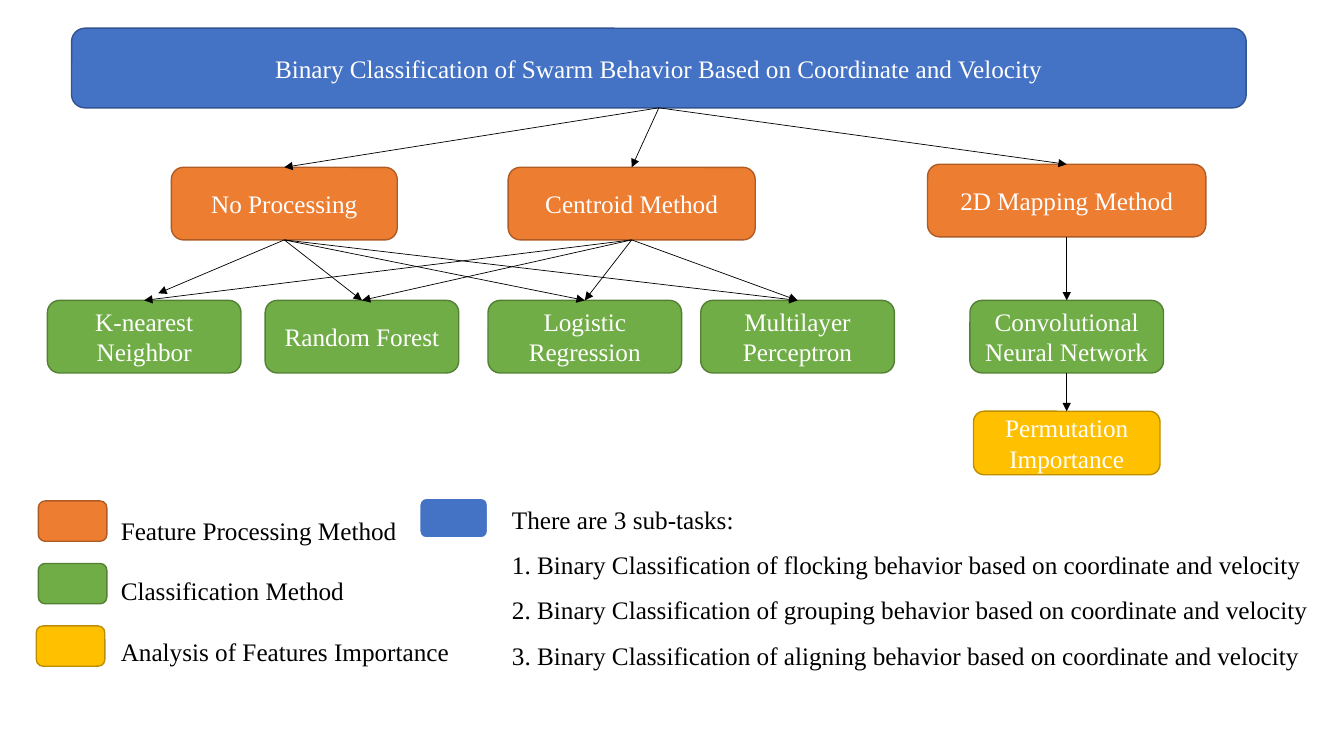
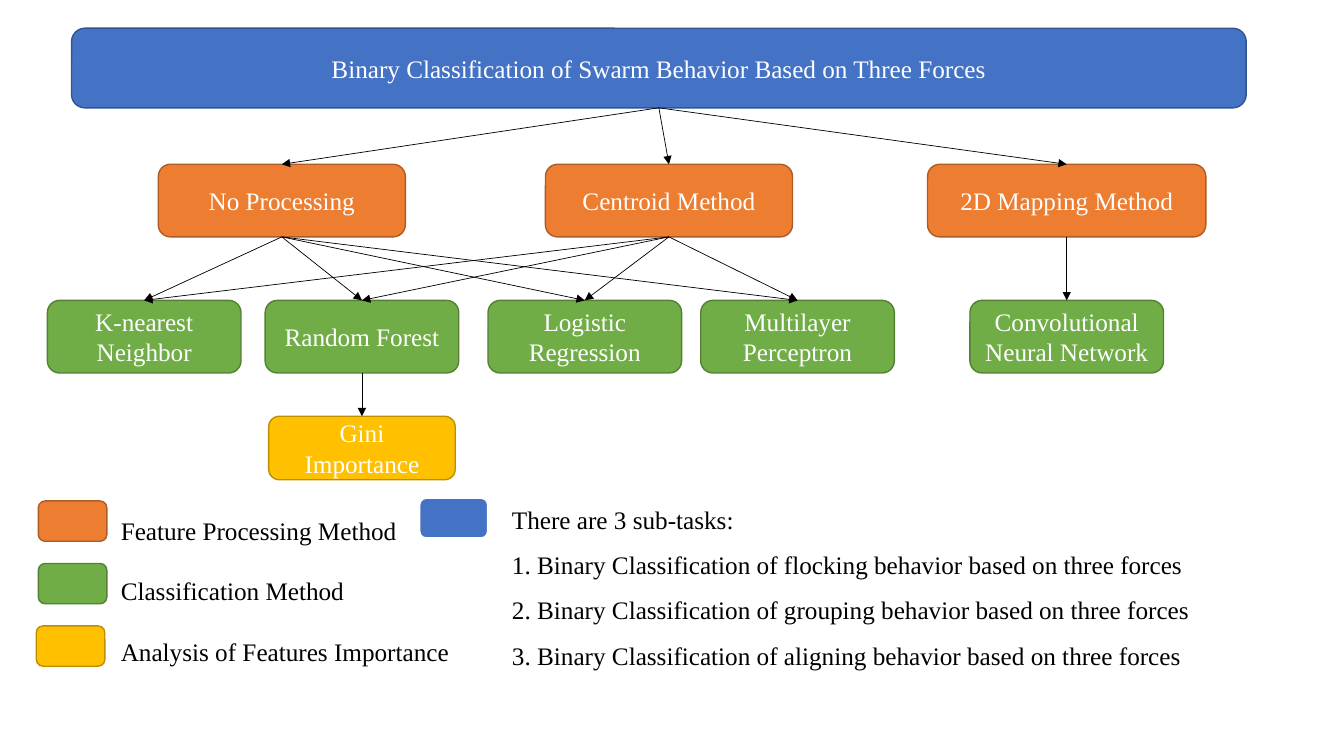
from dataclasses import dataclass

from lxml.etree import SubElement
from pptx import Presentation
from pptx.dml.color import RGBColor
from pptx.enum.shapes import MSO_CONNECTOR, MSO_SHAPE
from pptx.enum.text import MSO_ANCHOR, MSO_AUTO_SIZE, PP_ALIGN
from pptx.oxml.ns import qn
from pptx.util import Inches, Pt


@dataclass(frozen=True)
class Theme:
    font: str = "Times New Roman"
    size: float = 18
    text: str = "000000"
    light: str = "FFFFFF"
    arrow_width: float = 0.5
    # Each style: fill, outline, outline width
    task: tuple = ("4472C4", "325491", 1)
    task_key: tuple = ("4472C4", "FFFFFF", 1.5)
    feature: tuple = ("ED7D31", "AF5C24", 1)
    classifier: tuple = ("70AD47", "538035", 1)
    importance: tuple = ("FFC000", "BD8E00", 1)


THEME = Theme()
TOP, BOTTOM = 0, 2

# Content: feature boxes are name -> (left, top, width)
SLIDES = [
    {
        "title": "Binary Classification of Swarm Behavior Based on Coordinate and Velocity",
        "basis": "coordinate and velocity",
        "features": {
            "No Processing": (1.7, 1.66, 2.24),
            "Centroid Method": (5.04, 1.66, 2.45),
            "2D Mapping Method": (9.2, 1.63, 2.76),
        },
        "importance": ("Permutation Importance", "Convolutional Neural Network", 4.08),
        "loose_ends": {("No Processing", "K-nearest Neighbor"): (1.57, 2.91)},
    },
    {
        "title": "Binary Classification of Swarm Behavior Based on Three Forces",
        "basis": "three forces",
        "features": {
            "No Processing": (1.57, 1.63, 2.45),
            "Centroid Method": (5.41, 1.63, 2.45),
            "2D Mapping Method": (9.2, 1.63, 2.76),
        },
        "importance": ("Gini Importance", "Random Forest", 4.13),
        "loose_ends": {},
    },
]
CLASSIFIERS = {
    "K-nearest Neighbor": 0.47,
    "Random Forest": 2.63,
    "Logistic Regression": 4.84,
    "Multilayer Perceptron": 6.95,
    "Convolutional Neural Network": 9.62,
}
*SHARED, NETWORK = CLASSIFIERS
LINKS = {
    "No Processing": SHARED,
    "Centroid Method": SHARED,
    "2D Mapping Method": [NETWORK],
}
LEGEND = ["Feature Processing Method", "Classification Method",
          "Analysis of Features Importance"]
KEYS = [  # left, top, style
    (0.38, 4.97, THEME.feature),
    (0.38, 5.59, THEME.classifier),
    (0.36, 6.21, THEME.importance),
    (4.16, 4.94, THEME.task_key),
]
BEHAVIORS = ["flocking", "grouping", "aligning"]

# Shared geometry, in inches
BANNER = (0.71, 0.28, 11.65, 0.79)
BOX_HEIGHT = 0.72
CLASSIFIER_TOP, CLASSIFIER_WIDTH = 2.98, 1.92
IMPORTANCE_WIDTH, IMPORTANCE_HEIGHT = 1.85, 0.63
KEY_SIZE = (0.68, 0.4)
LEGEND_AREA = (1.1, 4.76, 3.74, 1.83)
TASKS_AREA = (4.98, 4.8, 8.1, 1.86)


def inches(values):
    return [Inches(value) for value in values]


def write(para, text, color):
    span = para.add_run()
    span.text = text
    span.font.name = THEME.font
    span.font.size = Pt(THEME.size)
    span.font.color.rgb = RGBColor.from_string(color)


def write_centred(shape, text):
    frame = shape.text_frame
    frame.word_wrap = True
    frame.auto_size = MSO_AUTO_SIZE.NONE
    frame.vertical_anchor = MSO_ANCHOR.MIDDLE
    para = frame.paragraphs[0]
    para.alignment = PP_ALIGN.CENTER
    write(para, text, THEME.light)


def add_box(page, area, style, text=None):
    fill, outline, width = style
    box = page.shapes.add_shape(MSO_SHAPE.ROUNDED_RECTANGLE, *inches(area))
    box.shadow.inherit = False
    box.fill.solid()
    box.fill.fore_color.rgb = RGBColor.from_string(fill)
    box.line.color.rgb = RGBColor.from_string(outline)
    box.line.width = Pt(width)
    if text:
        write_centred(box, text)
    return box


def add_banner(page, text):
    banner = add_box(page, BANNER, THEME.task)
    title = page.shapes.title
    title.left, title.top, title.width, title.height = inches(BANNER)
    write_centred(title, text)
    title.element.addprevious(banner.element)  # the band sits behind its title
    return banner


def add_arrow(page, source, target, loose_end=None):
    end = inches(loose_end or (0, 0))
    arrow = page.shapes.add_connector(MSO_CONNECTOR.STRAIGHT, 0, 0, *end)
    arrow.begin_connect(source, BOTTOM)
    if not loose_end:
        arrow.end_connect(target, TOP)
    arrow.line.color.rgb = RGBColor.from_string(THEME.text)
    arrow.line.width = Pt(THEME.arrow_width)
    SubElement(arrow.line._get_or_add_ln(), qn("a:tailEnd"), type="triangle")
    SubElement(arrow.element.spPr, qn("a:effectLst"))


def add_text(page, area, lines, spacing):
    frame = page.shapes.add_textbox(*inches(area)).text_frame
    frame.word_wrap = True
    frame.auto_size = MSO_AUTO_SIZE.SHAPE_TO_FIT_TEXT
    for index, line in enumerate(lines):
        para = frame.add_paragraph() if index else frame.paragraphs[0]
        para.line_spacing = spacing
        write(para, line, THEME.text)


def add_diagram(page, content):
    # Boxes
    banner = add_banner(page, content["title"])
    features = {
        name: add_box(page, (*place, BOX_HEIGHT), THEME.feature, name)
        for name, place in content["features"].items()
    }
    classifiers = {
        name: add_box(page, (left, CLASSIFIER_TOP, CLASSIFIER_WIDTH, BOX_HEIGHT),
                      THEME.classifier, name)
        for name, left in CLASSIFIERS.items()
    }
    name, parent, top = content["importance"]
    left = CLASSIFIERS[parent] + (CLASSIFIER_WIDTH - IMPORTANCE_WIDTH) / 2
    importance = add_box(page, (left, top, IMPORTANCE_WIDTH, IMPORTANCE_HEIGHT),
                         THEME.importance, name)

    # Arrows
    for feature, box in features.items():
        add_arrow(page, banner, box)
        for classifier in LINKS[feature]:
            add_arrow(page, box, classifiers[classifier],
                      content["loose_ends"].get((feature, classifier)))
    add_arrow(page, classifiers[parent], importance)


def add_legend(page, basis):
    for left, top, style in KEYS:
        add_box(page, (left, top, *KEY_SIZE), style)
    add_text(page, LEGEND_AREA, LEGEND, 2.0)
    tasks = [f"{number}. Binary Classification of {behavior} behavior based on {basis}"
             for number, behavior in enumerate(BEHAVIORS, 1)]
    add_text(page, TASKS_AREA, [f"There are {len(tasks)} sub-tasks:", *tasks], 1.5)


def main():
    deck = Presentation()
    deck.slide_width, deck.slide_height = Inches(13.33), Inches(7.5)
    title_only = deck.slide_layouts[5]
    for content in SLIDES:
        page = deck.slides.add_slide(title_only)
        add_diagram(page, content)
        add_legend(page, content["basis"])
    deck.save("out.pptx")


if __name__ == "__main__":
    main()
